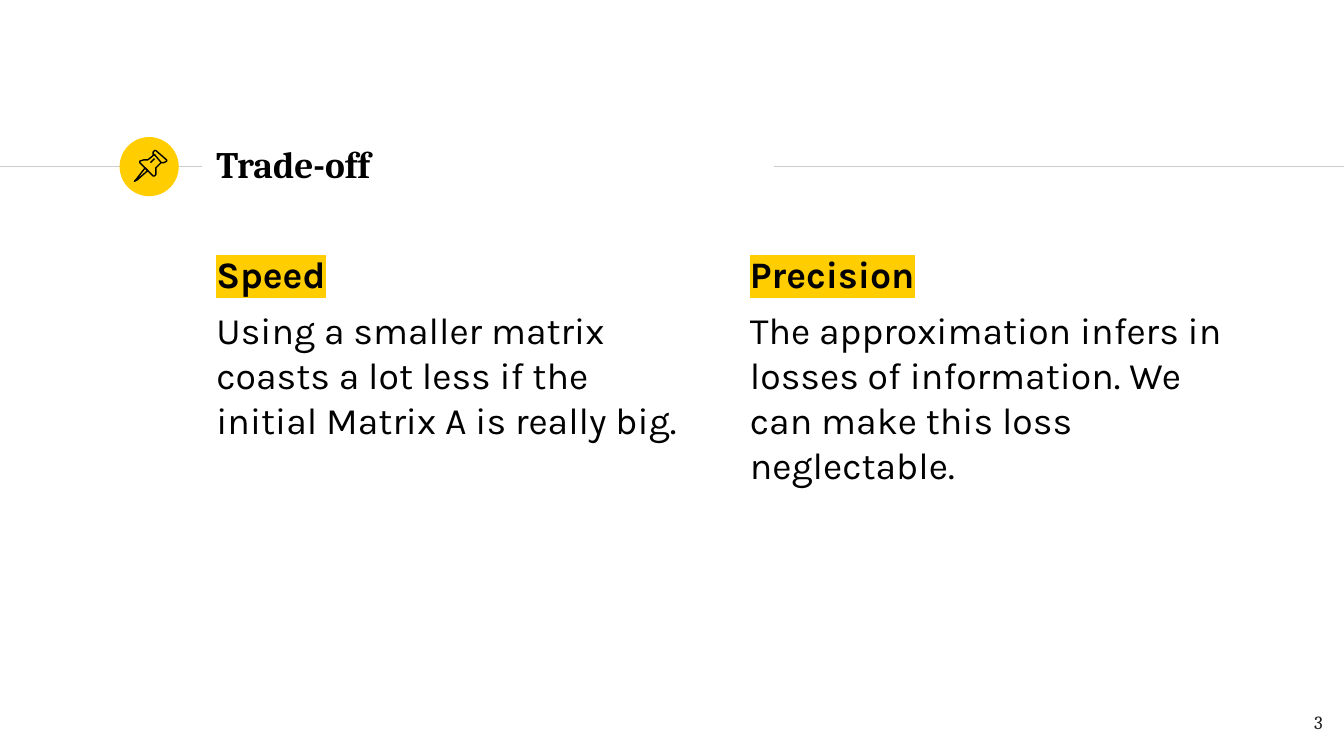
"""Build the Trade-off slide with its two text columns and pin badge."""
from lxml.etree import SubElement
from pptx import Presentation
from pptx.dml.color import RGBColor as RGB
from pptx.enum.shapes import MSO_CONNECTOR as LINK, MSO_SHAPE as SHAPE
from pptx.enum.text import MSO_ANCHOR as ANCHOR, MSO_AUTO_SIZE as FIT, PP_ALIGN as ALIGN
from pptx.oxml.ns import qn
from pptx.util import Inches, Pt

HUES = {"gold": "FFCD00", "rule": "CCCCCC", "text": "000000", "page": "1D1D1B"}


def place(shape, left, top, width, height, anchor):
    shape.left, shape.top = Inches(left), Inches(top)
    shape.width, shape.height = Inches(width), Inches(height)
    frame = shape.text_frame
    frame.word_wrap, frame.auto_size = True, FIT.NONE
    frame.vertical_anchor = anchor
    frame.margin_left = frame.margin_right = Inches(0.1)
    frame.margin_top = frame.margin_bottom = Inches(0.1)
    return frame


def style(para, face, size, hue, bold=False, align=ALIGN.LEFT):
    para.alignment = align
    font = para.font
    font.name, font.size, font.bold = face, Pt(size), bold
    font.color.rgb = RGB.from_string(HUES[hue])


deck = Presentation()
deck.slide_width = Inches(10)
deck.slide_height = Inches(10 * 9 / 16)
slide = deck.slides.add_slide(deck.slide_layouts[3])
shapes = slide.shapes

for start, end in [(0, 1.5), (5.76, 10)]:
    rule = shapes.add_connector(LINK.STRAIGHT, Inches(start), Inches(1.24), Inches(end), Inches(1.24))
    rule.line.color.rgb = RGB.from_string(HUES["rule"])
    rule.line.width = Pt(0.75)
    SubElement(rule.element.spPr, qn("a:effectLst"))

badge = shapes.add_shape(SHAPE.OVAL, Inches(0.89), Inches(1.02), Inches(0.44), Inches(0.44))
badge.shadow.inherit = False
badge.fill.solid()
badge.fill.fore_color.rgb = RGB.from_string(HUES["gold"])
badge.line.fill.background()

title = place(shapes.title, 1.51, 0.98, 4.24, 0.48, ANCHOR.MIDDLE)
title.text = "Trade-off"
style(title.paragraphs[0], "Cambria", 20, "text", True)

columns = [
    (1, 1.51, "Speed", "Using a smaller matrix coasts a lot less if the initial Matrix A is really big."),
    (2, 5.48, "Precision", "The approximation infers in losses of information. We can make this loss neglectable."),
]
for index, left, head, body in columns:
    frame = place(slide.placeholders[index], left, 1.77, 3.75, 3.53, ANCHOR.TOP)
    frame.text = f"{head}\n{body}"
    for para, bold in zip(frame.paragraphs, (True, False)):
        style(para, "Karla", 20, "text", bold)
        para.space_before = Pt(6)
        props = para._p.get_or_add_pPr()
        props.set("marL", "0")
        props.set("indent", "0")
        props.insert_element_before(props.makeelement(qn("a:buNone"), {}), "a:tabLst", "a:defRPr")
    mark = SubElement(frame.paragraphs[0].runs[0]._r.get_or_add_rPr(), qn("a:highlight"))
    SubElement(mark, qn("a:srgbClr"), val=HUES["gold"])

pin = [
    ([(1.08, 1.25), (1.01, 1.34), (1, 1.35), (1.02, 1.34), (1.1, 1.27)], True),
    ([(1.15, 1.15), (1.2, 1.21), (1.22, 1.21), (1.24, 1.2), (1.24, 1.19),
      (1.16, 1.12), (1.15, 1.12), (1.14, 1.13), (1.14, 1.15)], True),
    ([(1.15, 1.15), (1.1, 1.19), (1.07, 1.19), (1.04, 1.2), (1.04, 1.21),
      (1.14, 1.31), (1.15, 1.31), (1.16, 1.3), (1.16, 1.25), (1.2, 1.21)], False),
    ([(1.12, 1.21), (1.15, 1.18)], False),
]
for points, closed in pin:
    first, *rest = [(Inches(x), Inches(y)) for x, y in points]
    draft = shapes.build_freeform(*first)
    draft.add_line_segments(rest, close=closed)
    part = draft.convert_to_shape()
    part.shadow.inherit = False
    part.fill.background()
    part.line.color.rgb = RGB.from_string(HUES["text"])
    part.line.width = Pt(0.75)

number = place(shapes.add_textbox(0, 0, 0, 0), 9.34, 5.19, 0.6, 0.43, ANCHOR.TOP)
number.text = "3"
style(number.paragraphs[0], "Cambria", 10, "page", align=ALIGN.RIGHT)

deck.save("out.pptx")
